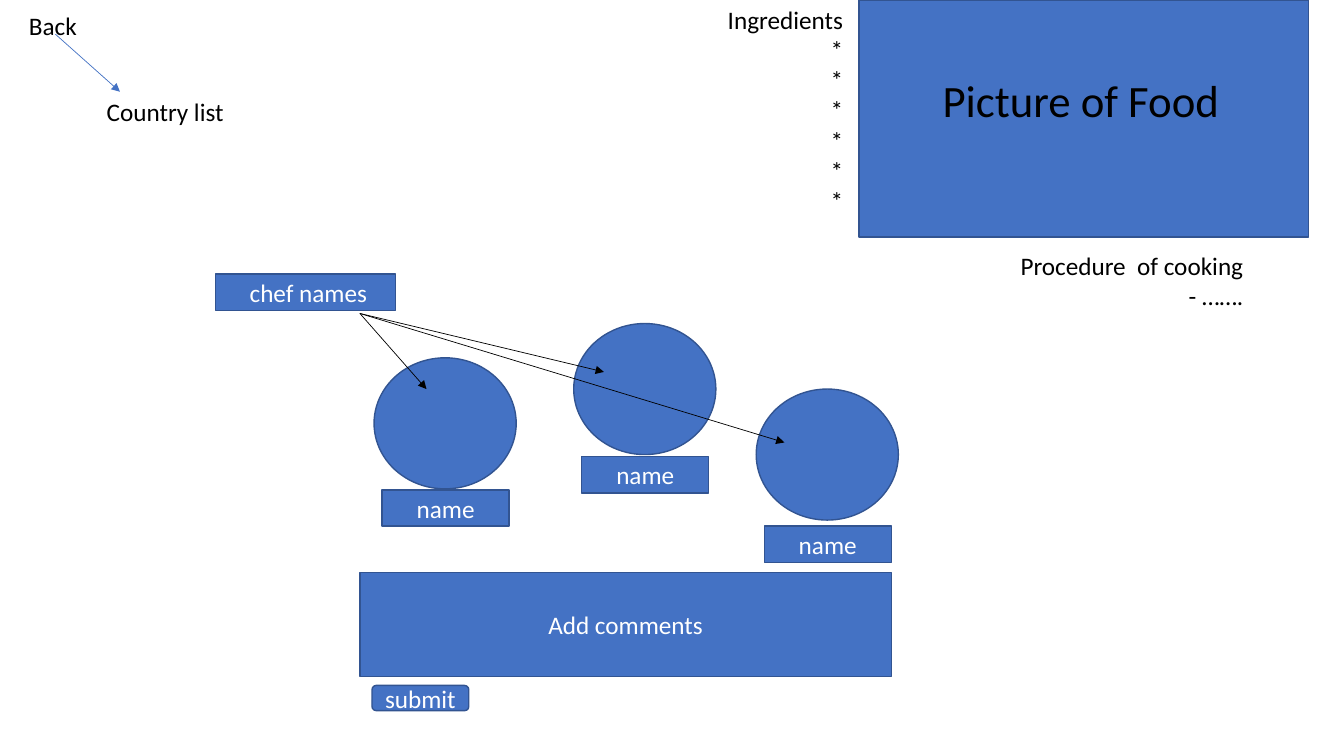
from lxml.etree import SubElement
from pptx import Presentation
from pptx.dml.color import RGBColor
from pptx.enum.shapes import MSO_CONNECTOR, MSO_SHAPE
from pptx.enum.text import MSO_ANCHOR, PP_ALIGN
from pptx.oxml.ns import qn
from pptx.util import Inches, Pt

BLUE = RGBColor(0x44, 0x72, 0xC4)
DARK_BLUE = RGBColor(0x32, 0x54, 0x91)
BLACK = RGBColor(0, 0, 0)
WHITE = RGBColor(0xFF, 0xFF, 0xFF)

deck = Presentation()
deck.slide_width = Inches(13.33)
deck.slide_height = Inches(7.5)
page = deck.slides.add_slide(deck.slide_layouts[6])


def write(box, text, size, color, align):
    frame = box.text_frame
    frame.word_wrap = True
    frame.text = text
    for para in frame.paragraphs:
        para.alignment = align
        para.font.name = "Calibri"
        para.font.size = Pt(size)
        para.font.color.rgb = color


def add_block(kind, left, top, width, height, text=""):
    block = page.shapes.add_shape(
        kind, Inches(left), Inches(top), Inches(width), Inches(height))
    block.shadow.inherit = False
    block.fill.solid()
    block.fill.fore_color.rgb = BLUE
    block.line.color.rgb = DARK_BLUE
    block.line.width = Pt(1)
    if text:
        block.text_frame.vertical_anchor = MSO_ANCHOR.MIDDLE
        write(block, text, 18, WHITE, PP_ALIGN.CENTER)


add_block(MSO_SHAPE.RECTANGLE, 8.52, 0, 4.46, 2.35)

captions = [
    ("Picture of Food", 9.25, 0.67, 3.34, 0.64, 32, PP_ALIGN.LEFT),
    ("Ingredients\n*\n*\n*\n*\n*\v*", 4.88, -0.01, 3.58, 2.22, 18, PP_ALIGN.RIGHT),
    ("Procedure  of cooking\n - …….", 5.55, 2.43, 6.88, 0.71, 18, PP_ALIGN.RIGHT),
    ("Back", 0.17, 0.05, 0.69, 0.4, 18, PP_ALIGN.RIGHT),
    ("Country list", 0.96, 0.91, 1.51, 0.4, 18, PP_ALIGN.LEFT),
]
for text, left, top, width, height, size, align in captions:
    caption = page.shapes.add_textbox(
        Inches(left), Inches(top), Inches(width), Inches(height))
    write(caption, text, size, BLACK, align)

chefs = [(3.71, 3.55, 4.86), (5.69, 3.21, 4.53), (7.5, 3.86, 5.22)]
for left, portrait_top, name_top in chefs:
    add_block(MSO_SHAPE.OVAL, left, portrait_top, 1.41, 1.3)
    add_block(MSO_SHAPE.RECTANGLE, left + 0.08, name_top, 1.26, 0.36, "name")

chef_origin = (3.57, 3.11)
arrows = [
    ((0.55, 0.34), (1.19, 0.91), BLUE),
    (chef_origin, (4.23, 3.86), BLACK),
    (chef_origin, (5.99, 3.69), BLACK),
    (chef_origin, (7.78, 4.39), BLACK),
]
for (x1, y1), (x2, y2), color in arrows:
    arrow = page.shapes.add_connector(
        MSO_CONNECTOR.STRAIGHT, Inches(x1), Inches(y1), Inches(x2), Inches(y2))
    arrow.line.color.rgb = color
    arrow.line.width = Pt(0.5)
    SubElement(arrow.line._get_or_add_ln(), qn("a:tailEnd"), type="triangle")
    SubElement(arrow._element.spPr, qn("a:effectLst"))

add_block(MSO_SHAPE.RECTANGLE, 2.14, 2.72, 1.78, 0.36, " chef names")
add_block(MSO_SHAPE.RECTANGLE, 3.57, 5.68, 5.27, 1.03, "Add comments")
add_block(MSO_SHAPE.ROUNDED_RECTANGLE, 3.69, 6.8, 0.96, 0.25, "submit")

deck.save("out.pptx")
